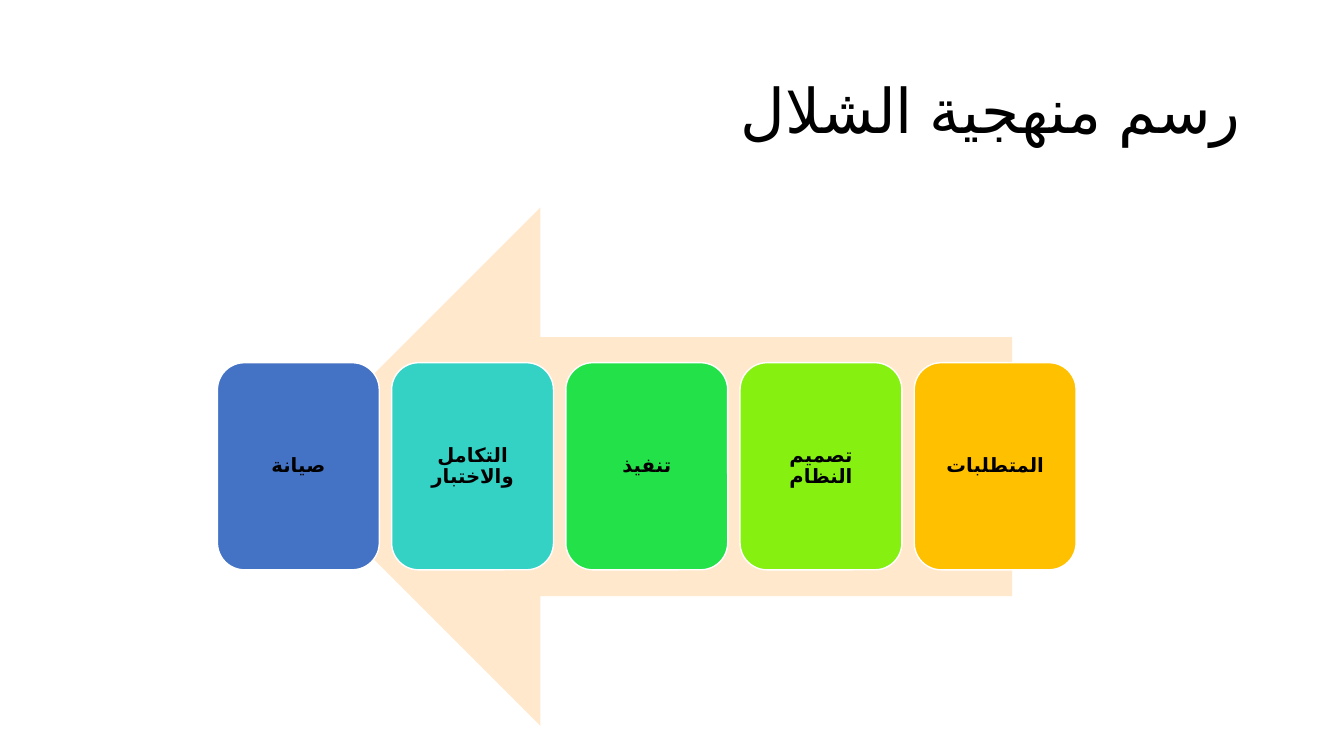
from pptx import Presentation
from pptx import util as u
from pptx.dml.color import RGBColor
from pptx.enum import lang, shapes, text
from pptx.oxml.ns import qn

TITLE = "رسم منهجية الشلال"
# Phases in reading order, right to left: label, fill
PHASES = [
    ("المتطلبات", "FFC000"),
    ("تصميم النظام", "86F011"),
    ("تنفيذ", "23E148"),
    ("التكامل والاختبار", "33D2C5"),
    ("صيانة", "4472C4"),
]
# Lengths in cm
TITLE_BOX = (2.33, 1.01, 29.21, 3.68)
ARROW_BOX = (7.09, 5.23, 18.42, 13.06)
FIRST_LEFT, CARD_TOP, CARD_W, CARD_H, GAP = 23.04, 9.14, 4.08, 5.22, 0.31
CARD_INSET = 0.3


def color(hex_value):
    return RGBColor.from_string(hex_value)


def box(values):
    return [u.Cm(v) for v in values]


def write(tf, content, font, size, align, bold=False):
    """Fill a frame with one right-to-left Arabic paragraph."""
    tf.word_wrap = True
    tf.auto_size = text.MSO_AUTO_SIZE.NONE
    tf.vertical_anchor = text.MSO_ANCHOR.MIDDLE
    p = tf.paragraphs[0]
    p.alignment = align
    p.line_spacing = 0.9
    p._p.get_or_add_pPr().set("rtl", "1")
    r = p.add_run()
    r.text = content
    r.font.language_id = lang.MSO_LANGUAGE_ID.ARABIC
    r.font.name = font
    r.font.size = u.Pt(size)
    r.font.bold = bold
    r.font.color.rgb = color("000000")
    # Arabic letters take the complex-script font
    cs = r._r.get_or_add_rPr().makeelement(qn("a:cs"), {"typeface": font})
    r._r.rPr.append(cs)
    return p


def add_filled(parent, kind, values, fill):
    sp = parent.add_shape(kind, *box(values))
    sp.shadow.inherit = False
    sp.fill.solid()
    sp.fill.fore_color.rgb = color(fill)
    return sp


prs = Presentation()
prs.slide_width, prs.slide_height = u.Cm(33.87), u.Cm(19.05)
s = prs.slides.add_slide(prs.slide_layouts[5])

# Title
title = s.shapes.title
title.left, title.top, title.width, title.height = box(TITLE_BOX)
write(title.text_frame, TITLE, "Arial", 44, text.PP_ALIGN.RIGHT)

# Background arrow
diagram = s.shapes.add_group_shape().shapes
arrow = add_filled(diagram, shapes.MSO_SHAPE.LEFT_ARROW, ARROW_BOX, "FFE8CC")
arrow.line.fill.background()

# Phase cards
for i, (label, fill) in enumerate(PHASES):
    left = FIRST_LEFT - i * (CARD_W + GAP)
    card = add_filled(diagram, shapes.MSO_SHAPE.ROUNDED_RECTANGLE,
                      (left, CARD_TOP, CARD_W, CARD_H), fill)
    card.line.color.rgb = color("FFFFFF")
    card.line.width = u.Pt(1)
    tf = card.text_frame
    tf.margin_left = tf.margin_right = u.Cm(CARD_INSET)
    tf.margin_top = tf.margin_bottom = u.Cm(CARD_INSET)
    p = write(tf, label, "Calibri", 14, text.PP_ALIGN.CENTER, bold=True)
    p.space_after = u.Pt(5)

prs.save("out.pptx")
